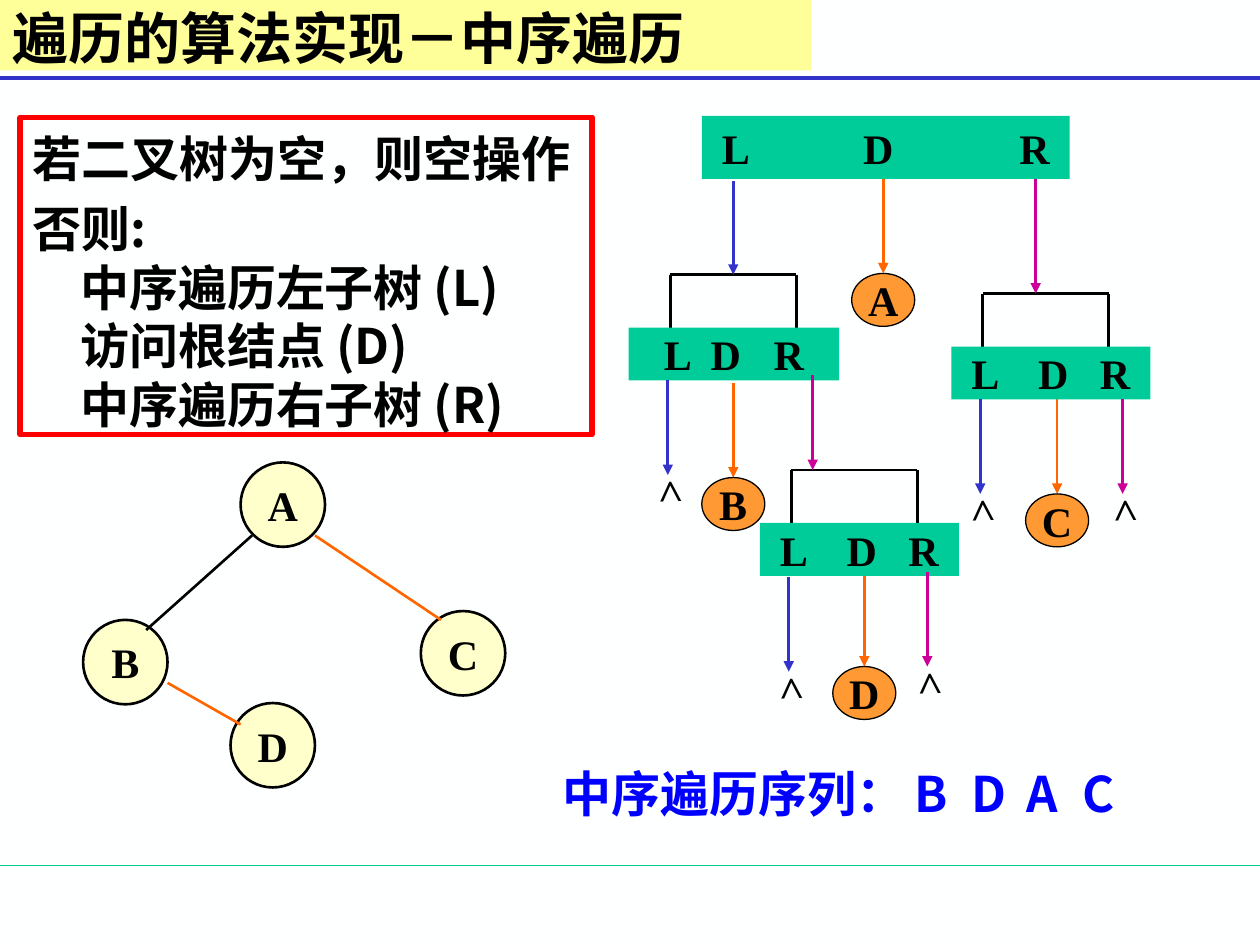
from lxml import etree
from pptx import Presentation
from pptx import util as u
from pptx.dml import color
from pptx.enum import shapes, text
from pptx.oxml import ns

SERIF, SANS = "Times New Roman", "Noto Sans CJK SC"
BLACK, GREEN, CREAM, AMBER = "000000", "00CC99", "FFFFCC", "FF9933"
BLUE, ORANGE, PURPLE = "3333CC", "FF6600", "CC0099"
RECT, OVAL = shapes.MSO_SHAPE.RECTANGLE, shapes.MSO_SHAPE.OVAL
CALL_H, STEP = 0.42, 0.75


def rgb(value):
    """Turn a hex string into a colour."""
    return color.RGBColor.from_string(value)


def write(shape, content, size=24, font=SERIF, ink=BLACK, align="LEFT", anchor="TOP",
          left=0.1, top=0.05, indent=0, before=0, spacing=None, tabs=(), wrap=True):
    """Fill a shape with bold paragraphs, one per line of content."""
    frame = shape.text_frame
    frame.word_wrap = wrap
    frame.vertical_anchor = getattr(text.MSO_ANCHOR, anchor)
    frame.margin_left, frame.margin_top = u.Inches(left), u.Inches(top)
    for index, line in enumerate(content.split("\n")):
        paragraph = frame.add_paragraph() if index else frame.paragraphs[0]
        paragraph.text = line
        paragraph.alignment = getattr(text.PP_ALIGN, align)
        paragraph.space_before = u.Pt(before if index else 0)
        if spacing:
            paragraph.line_spacing = u.Pt(spacing)
        props = paragraph._p.get_or_add_pPr()
        if indent:
            props.set("marL", str(u.Inches(indent)))
            props.set("indent", str(-u.Inches(indent)))
        if tabs:
            stops = etree.SubElement(props, ns.qn("a:tabLst"))
            for stop in tabs:
                etree.SubElement(stops, ns.qn("a:tab"), pos=str(u.Inches(stop)), algn="l")
        for run in paragraph.runs:
            run.font.size, run.font.bold, run.font.name = u.Pt(size), True, font
            run.font.color.rgb = rgb(ink)
            etree.SubElement(run._r.get_or_add_rPr(), ns.qn("a:ea"), typeface=font)


def add_box(slide, kind, box, fill=None, line=None, width=1.5):
    """Add a flat preset shape."""
    shape = slide.shapes.add_shape(kind, *map(u.Inches, box))
    shape.shadow.inherit = False
    if fill:
        shape.fill.solid()
        shape.fill.fore_color.rgb = rgb(fill)
    else:
        shape.fill.background()
    if line:
        shape.line.color.rgb = rgb(line)
        shape.line.width = u.Pt(width)
    else:
        shape.line.fill.background()
    return shape


def add_line(slide, start, end, ink=BLACK, width=1.5, arrow=False):
    """Draw a straight line, with an arrowhead at its end if asked."""
    line = slide.shapes.add_connector(shapes.MSO_CONNECTOR.STRAIGHT,
                                      *map(u.Inches, (*start, *end)))
    line.line.color.rgb = rgb(ink)
    line.line.width = u.Pt(width)
    if arrow:
        etree.SubElement(line.line._get_or_add_ln(), ns.qn("a:tailEnd"), type="triangle")
    etree.SubElement(line._element.spPr, ns.qn("a:effectLst"))


def add_node(slide, box, label, fill, width):
    """Draw a round node with its label."""
    node = add_box(slide, OVAL, box, fill, BLACK, width)
    write(node, label, align="CENTER", anchor="MIDDLE", wrap=False)


def add_header(slide, box):
    """Draw the title band and the two rules across the slide."""
    left, top, width, height = box
    add_line(slide, (left, 6.87), (left + width, 6.87), GREEN, 0.75)
    add_line(slide, (left, top + height), (left + width, top + height), BLUE, 2.25)
    band = add_box(slide, RECT, (left, top, 6.44, 0.56), "FFFF99")
    write(band, "遍历的算法实现－中序遍历", size=32, font=SANS, anchor="MIDDLE",
          top=0.09, spacing=38)


def add_rules(slide, box):
    """State the recursive rule in a red frame."""
    frame = add_box(slide, RECT, box, line="FF0000", width=3)
    write(frame, "若二叉树为空，则空操作\n否则:\v中序遍历左子树 (L)\v访问根结点 (D)\v中序遍历右子树 (R)",
          size=28, font=SANS, top=0.09, indent=0.38, before=7, spacing=33.4)


def add_tree(slide, box):
    """Draw the binary tree."""
    left, top = box[:2]
    nodes = {"A": (1.25, 0), "D": (1.17, 1.91), "B": (0, 1.25), "C": (2.68, 1.18)}
    for label, (x, y) in nodes.items():
        add_node(slide, (left + x, top + y, 0.67, 0.67), label, CREAM, 1.5)
    edges = [((1.34, 0.58), (0.5, 1.33), BLACK), ((1.84, 0.58), (2.84, 1.25), ORANGE),
             ((0.67, 1.75), (1.25, 2.08), ORANGE)]
    for (x1, y1), (x2, y2), ink in edges:
        add_line(slide, (left + x1, top + y1), (left + x2, top + y2), ink)


def add_bar(slide, box, first, tabs):
    """Draw a green bar with L, D and R spread along it."""
    bar = add_box(slide, RECT, box, GREEN)
    write(bar, "L\tD\tR", anchor="MIDDLE", left=first, tabs=tabs)


def add_call(slide, box, arrow, ink, bracket=0.25, first=0.16, tabs=(0.53, 1.02)):
    """Draw a recursive call: incoming arrow, bracket and bar."""
    left, top = box[:2]
    start, roof = left + bracket, top - CALL_H
    add_line(slide, (start, roof), (start + 1, roof))
    for x in (start, start + 1):
        add_line(slide, (x, roof), (x, top))
    add_bar(slide, box, first, tabs)
    add_line(slide, arrow, (arrow[0], roof), ink, arrow=True)


def add_visit(slide, x, y, label):
    """Draw an arrow down to a visited node."""
    add_line(slide, (x, y), (x, y + STEP), ORANGE, arrow=True)
    add_node(slide, (x - 0.25, y + STEP, 0.5, 0.42), label, AMBER, 0.75)


def add_empty(slide, x, y, ink):
    """Draw an arrow down to an empty-subtree mark."""
    mark = slide.shapes.add_textbox(*map(u.Inches, (x - 0.21, y + 0.62, 0.42, 0.5)))
    mark.rotation = 268.3
    write(mark, ">")
    add_line(slide, (x, y), (x, y + STEP), ink, arrow=True)


def add_trace(slide, box):
    """Draw the trace of recursive calls."""
    left, top = box[:2]
    add_bar(slide, (left + 0.58, top, 2.92, 0.5), 0.16, (1.12, 2.36))
    calls = [((0, 1.68, 1.67), (0.83, 0.52), BLUE,
              dict(bracket=0.33, first=0.28, tabs=(0.37, 0.87))),
             ((1.04, 3.23, 1.58), (1.46, 2.06), PURPLE, {}),
             ((2.56, 1.83, 1.58), (3.23, 0.5), PURPLE, {})]
    visits = [("B", 0.83, 2.12), ("A", 2.02, 0.5), ("D", 1.87, 3.62), ("C", 3.4, 2.25)]
    empties = [(0.31, 2.1, BLUE), (2.37, 3.62, PURPLE), (1.27, 3.66, BLUE),
               (3.92, 2.25, PURPLE), (2.79, 2.25, BLUE)]
    for label, x, y in visits:
        add_visit(slide, left + x, top + y, label)
    for (x, y, width), (arrow_x, arrow_y), ink, layout in calls:
        add_call(slide, (left + x, top + y, width, CALL_H),
                 (left + arrow_x, top + arrow_y), ink, **layout)
    for x, y, ink in empties:
        add_empty(slide, left + x, top + y, ink)


def add_sequence(slide, box):
    """Write the resulting order of visits."""
    sequence = slide.shapes.add_textbox(*map(u.Inches, box))
    write(sequence, "中序遍历序列：\tB\tD\tA\tC", size=28, font=SANS, ink="0000FF",
          top=0.09, spacing=33.4, tabs=(2.79, 3.24, 3.68, 4.12))


def main():
    """Build the slide and save it."""
    deck = Presentation()
    deck.slide_width, deck.slide_height = u.Inches(10), u.Inches(7.5)
    slide = deck.slides.add_slide(deck.slide_layouts[6])
    slide.background.fill.solid()
    slide.background.fill.fore_color.rgb = rgb("FEFFFF")
    add_header(slide, (0, 0, 10, 0.62))
    add_rules(slide, (0.16, 0.93, 4.54, 2.52))
    add_tree(slide, (0.66, 3.67, 3.35, 2.58))
    add_trace(slide, (4.99, 0.92, 4.14, 4.79))
    add_sequence(slide, (4.37, 5.97, 5.27, 0.57))
    deck.save("out.pptx")


if __name__ == "__main__":
    main()
